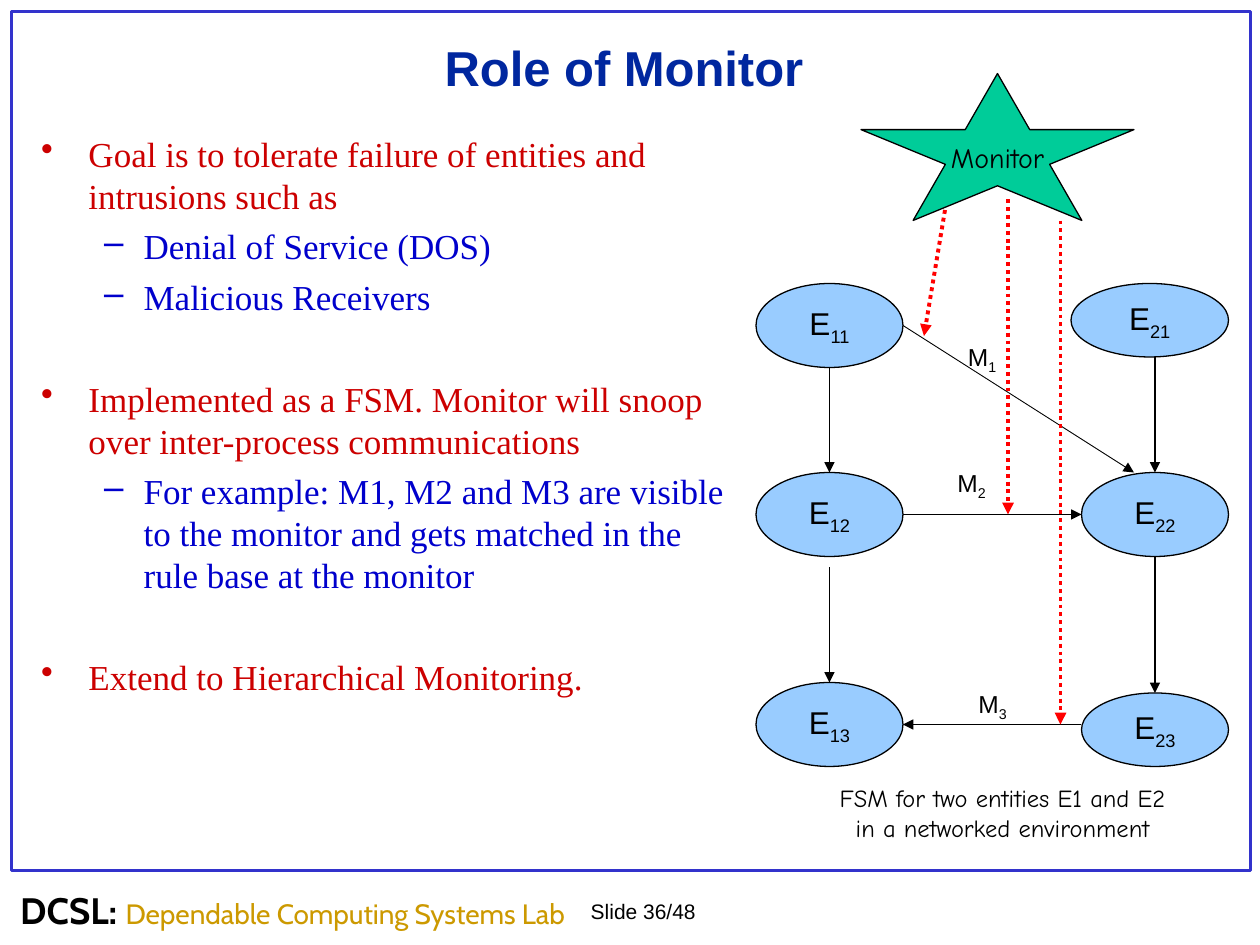
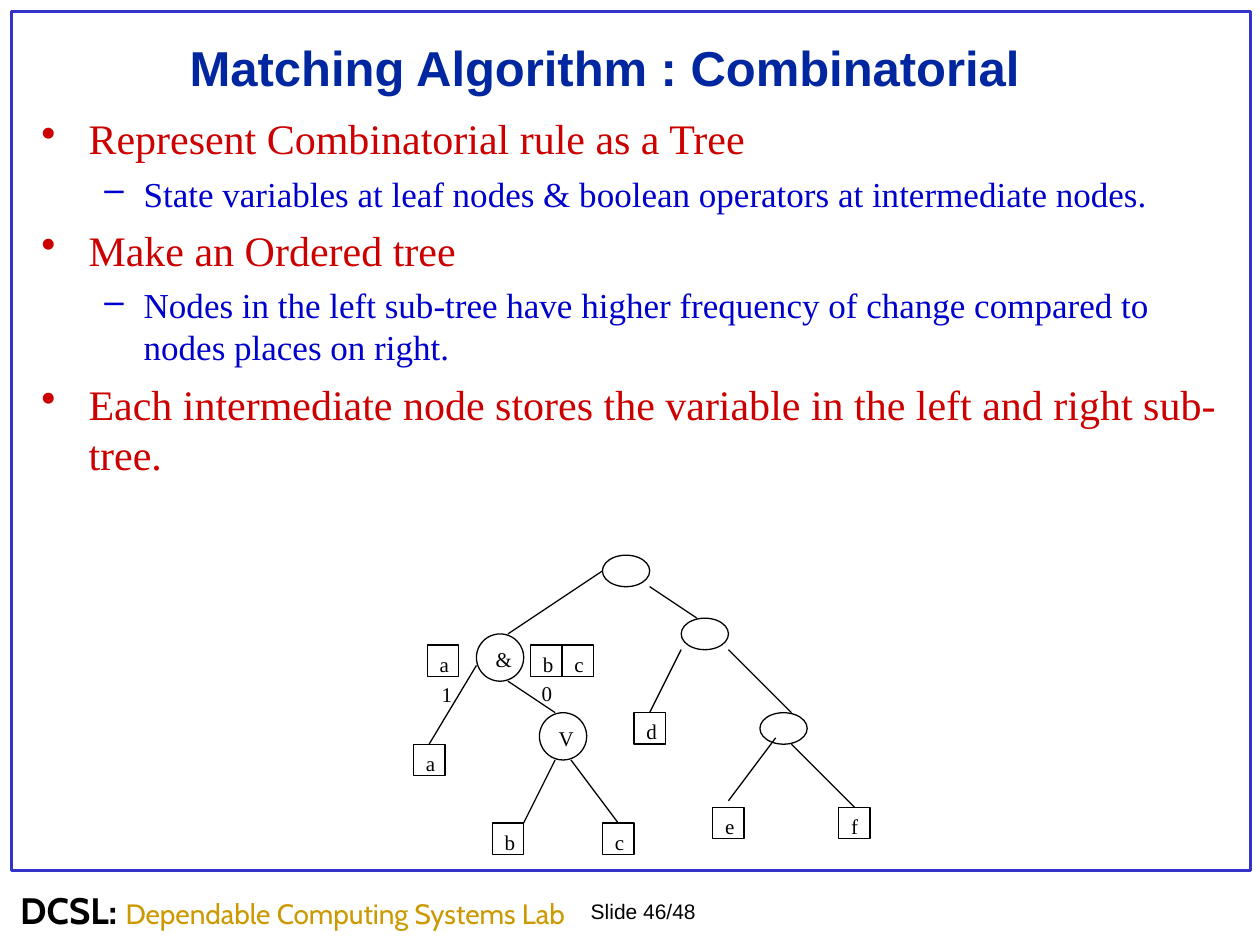
import pptx
import pptx.dml.color
import pptx.enum.dml
import pptx.enum.shapes
import pptx.enum.text
import pptx.oxml
import pptx.oxml.ns
import pptx.util

Pt = pptx.util.Pt
SHAPES = pptx.enum.shapes.MSO_SHAPE
ALIGN = pptx.enum.text.PP_ALIGN
ANCHOR = pptx.enum.text.MSO_ANCHOR
DOTTED = pptx.enum.dml.MSO_LINE.ROUND_DOT

COLOURS = {
    "black": "000000",
    "white": "FFFFFF",
    "frame": "3333CC",
    "title": "00279F",
    "lab": "CC9900",
    "point": "CC0000",
    "detail": "0000CC",
    "entity": "99CCFF",
    "monitor": "00CC99",
    "snoop": "FF0000",
}

TITLE = {"name": "Arial", "size": Pt(28), "bold": True, "color": "title"}
LAB_SHORT = {"name": "Cabin", "size": Pt(21), "bold": True, "color": "black"}
LAB_LONG = {"name": "Cabin", "size": Pt(16), "bold": False, "color": "lab"}
PAGE = {"name": "Arial", "size": Pt(12), "color": "black"}
ENTITY = {"name": "Arial", "size": Pt(18), "color": "black"}
MESSAGE = {"name": "Arial", "size": Pt(14), "color": "black"}
MONITOR = {"name": "Comic Neue", "size": Pt(16), "color": "black"}
CAPTION = {"name": "Comic Neue", "size": Pt(14), "color": "black"}
TREE = {"name": "Times New Roman", "size": Pt(12), "color": "black"}

LEVELS = [
    {"bullet": "•", "color": "point", "margin": 27, "hanging": -27},
    {"bullet": "–", "color": "detail", "margin": 58.5, "hanging": -22.5},
]

GRID = 9
TREE_LEFT = 236.25
TREE_TOP = 317.25


def rgb(name):
    return pptx.dml.color.RGBColor.from_string(COLOURS[name])


def set_attributes(target, values):
    for name, value in values.items():
        setattr(target, name, value)


def add_run(paragraph, text, style, subscript=False):
    run = paragraph.add_run()
    run.text = text
    for name, value in style.items():
        if name == "color":
            run.font.color.rgb = rgb(value)
        else:
            setattr(run.font, name, value)
    if subscript:
        run._r.get_or_add_rPr().set("baseline", "-25000")


def add_text(slide, box, text, style, frame=None, alignment=ALIGN.LEFT, subscript=""):
    shape = slide.shapes.add_textbox(*map(Pt, box))
    set_attributes(shape.text_frame, {"word_wrap": True, **(frame or {})})
    paragraph = shape.text_frame.paragraphs[0]
    paragraph.alignment = alignment
    add_run(paragraph, text, style)
    if subscript:
        add_run(paragraph, subscript, style, subscript=True)
    return paragraph


def add_figure(slide, kind, box, fill=None, line="black", width=0.75):
    shape = slide.shapes.add_shape(kind, *map(Pt, box))
    shape.shadow.inherit = False
    if fill:
        shape.fill.solid()
        shape.fill.fore_color.rgb = rgb(fill)
    else:
        shape.fill.background()
    shape.line.color.rgb = rgb(line)
    shape.line.width = Pt(width)
    return shape


def label_figure(shape, text, style, centred, subscript=""):
    frame = {
        "word_wrap": not centred,
        "vertical_anchor": ANCHOR.MIDDLE if centred else ANCHOR.TOP,
    }
    set_attributes(shape.text_frame, frame)
    paragraph = shape.text_frame.paragraphs[0]
    paragraph.alignment = ALIGN.CENTER if centred else ALIGN.LEFT
    add_run(paragraph, text, style)
    if subscript:
        add_run(paragraph, subscript, style, subscript=True)


def add_line(slide, start, end, color="black", width=0.75, arrow=False, dash=None):
    connector = slide.shapes.add_connector(
        pptx.enum.shapes.MSO_CONNECTOR.STRAIGHT, *map(Pt, (*start, *end))
    )
    connector.line.color.rgb = rgb(color)
    connector.line.width = Pt(width)
    if dash:
        connector.line.dash_style = dash
    if arrow:
        add_element(connector.line._get_or_add_ln(), "a:tailEnd", type="triangle")
    add_element(connector._element.spPr, "a:effectLst")


def add_element(parent, tag, **attributes):
    element = pptx.oxml.parse_xml(f"<{tag} {pptx.oxml.ns.nsdecls('a')}/>")
    for name, value in attributes.items():
        element.set(name, value)
    parent.append(element)
    return element


def add_bullets(slide, box, items):
    shape = slide.shapes.add_textbox(*map(Pt, box))
    shape.text_frame.word_wrap = True
    for index, (level, size, space, text) in enumerate(items):
        look = LEVELS[level]
        paragraph = (
            shape.text_frame.add_paragraph() if index else shape.text_frame.paragraphs[0]
        )
        paragraph.level = level
        if index:
            paragraph.space_before = Pt(space)
        properties = paragraph._p.get_or_add_pPr()
        properties.set("marL", str(Pt(look["margin"])))
        properties.set("indent", str(Pt(look["hanging"])))
        bullet_color = add_element(properties, "a:buClr")
        add_element(bullet_color, "a:srgbClr", val=COLOURS[look["color"]])
        add_element(properties, "a:buChar", char=look["bullet"])
        style = {"name": "Times New Roman", "size": Pt(size), "color": look["color"]}
        add_run(paragraph, text, style)


def add_base_slide(presentation, title, number, title_right):
    slide = presentation.slides.add_slide(presentation.slide_layouts[6])
    add_figure(slide, SHAPES.RECTANGLE, (6.5, 6.5, 708, 491), line="frame", width=1.5)
    add_text(slide, (330.5, 510, 116, 22), f"Slide {number}/48", PAGE)
    footer = add_text(slide, (4.5, 508.5, 352, 43), "DCSL: ", LAB_SHORT)
    footer.line_spacing = 0.8
    add_run(footer, "Dependable Computing Systems Lab", LAB_LONG)
    frame = {"vertical_anchor": ANCHOR.MIDDLE, "margin_right": Pt(title_right)}
    add_text(slide, (17, 17, 687, 42), title, TITLE, frame, ALIGN.CENTER)
    return slide


def add_monitor_slide(presentation):
    slide = add_base_slide(presentation, "Role of Monitor", 36, 15)
    add_bullets(slide, (16.5, 72, 410, 415), [
        (0, 20, 0, "Goal is to tolerate failure of entities and intrusions such as"),
        (1, 20, 5, "Denial of Service (DOS)"),
        (1, 20, 5, "Malicious Receivers"),
        (0, 20, 34, "Implemented as a FSM. Monitor will snoop over inter-process "
                    "communications"),
        (1, 20, 5, "For example: M1, M2 and M3 are visible to the monitor and gets "
                   "matched in the rule base at the monitor"),
        (0, 20, 34, "Extend to Hierarchical Monitoring."),
    ])
    entities = {
        "11": (432, 162, 84, 48),
        "21": (612, 162, 90, 42),
        "12": (432, 270, 84, 48),
        "22": (618, 270, 84, 48),
        "13": (432, 390, 84, 48),
        "23": (618, 396, 84, 42),
    }
    for index, box in entities.items():
        entity = add_figure(slide, SHAPES.OVAL, box, "entity")
        label_figure(entity, "E", ENTITY, True, index)
    add_line(slide, (516, 186), (648, 270), width=0.5, arrow=True)
    transitions = [
        ((474, 210), (474, 270)),
        ((474, 324), (474, 390)),
        ((516, 294), (618, 294)),
        ((660, 204), (660, 270)),
        ((660, 318), (660, 396)),
        ((618, 414), (516, 414)),
    ]
    for start, end in transitions:
        add_line(slide, start, end, arrow=True)
    for index, left, top in [("3", 552, 390), ("2", 540, 264), ("1", 546, 192)]:
        add_text(slide, (left, top, 42, 26.5), "M", MESSAGE, subscript=index)
    add_text(slide, (468, 444, 210, 41),
             "FSM for two entities E1 and E2 in a networked environment",
             CAPTION, alignment=ALIGN.CENTER)
    star = add_figure(slide, SHAPES.STAR_5_POINT, (492, 42, 156, 84), "monitor")
    label_figure(star, "Monitor", MONITOR, True)
    snoops = [
        ((576, 114), (576, 294)),
        ((540, 120), (528, 192)),
        ((606, 126), (606, 414)),
    ]
    for start, end in snoops:
        add_line(slide, start, end, "snoop", 2.25, True, DOTTED)


def tree_point(column, row):
    return TREE_LEFT + GRID * column, TREE_TOP + GRID * row


def add_tree_node(slide, kind, column, row, columns, rows, text):
    box = (*tree_point(column, row), GRID * columns, GRID * rows)
    node = add_figure(slide, kind, box, "white")
    if text:
        label_figure(node, text, TREE, False)


def add_matching_slide(presentation):
    slide = add_base_slide(presentation, "Matching Algorithm : Combinatorial", 46, 37)
    add_bullets(slide, (16.5, 61, 688, 426), [
        (0, 24, 0, "Represent Combinatorial rule as a Tree"),
        (1, 20, 5, "State variables at leaf nodes & boolean operators at "
                   "intermediate nodes."),
        (0, 24, 6, "Make an Ordered tree"),
        (1, 20, 5, "Nodes in the left sub-tree have higher frequency of change "
                   "compared to nodes places on right."),
        (0, 24, 6, "Each intermediate node stores the variable in the left and "
                   "right sub-tree."),
    ])
    operators = [
        (12, 0, 2, ""), (17, 4, 2, ""), (4, 5, 3, "&"), (8, 10, 3, "V"), (22, 10, 2, ""),
    ]
    for column, row, rows, text in operators:
        add_tree_node(slide, SHAPES.OVAL, column, row, 3, rows, text)
    branches = [
        ((12, 1), (6, 5)), ((15, 2), (18, 4)), ((6, 8), (9, 10)), ((20, 6), (24, 10)),
        ((4, 7), (1, 12)), ((9, 13), (7, 17)), ((10, 13), (13, 17)),
        ((23, 11.6), (20, 15.6)), ((24, 12), (28, 16)), ((17, 6), (15, 10)),
    ]
    for start, end in branches:
        add_line(slide, tree_point(*start), tree_point(*end))
    leaves = [
        ("a", 0, 12), ("b", 5, 17), ("c", 12, 17), ("d", 14, 10), ("e", 19, 16),
        ("f", 27, 16),
    ]
    stored_variables = [("a", 0.87, 5.7), ("b", 7.43, 5.7), ("c", 9.43, 5.7)]
    for text, column, row in leaves + stored_variables:
        add_tree_node(slide, SHAPES.RECTANGLE, column, row, 2, 2, text)
    for text, column, row in [("1", 1, 7.63), ("0", 7.35, 7.55)]:
        add_text(slide, (*tree_point(column, row), 2 * GRID, 2 * GRID), text, TREE)


def main():
    presentation = pptx.Presentation()
    presentation.slide_width = Pt(720)
    presentation.slide_height = Pt(540)
    add_monitor_slide(presentation)
    add_matching_slide(presentation)
    presentation.save("out.pptx")


if __name__ == "__main__":
    main()
